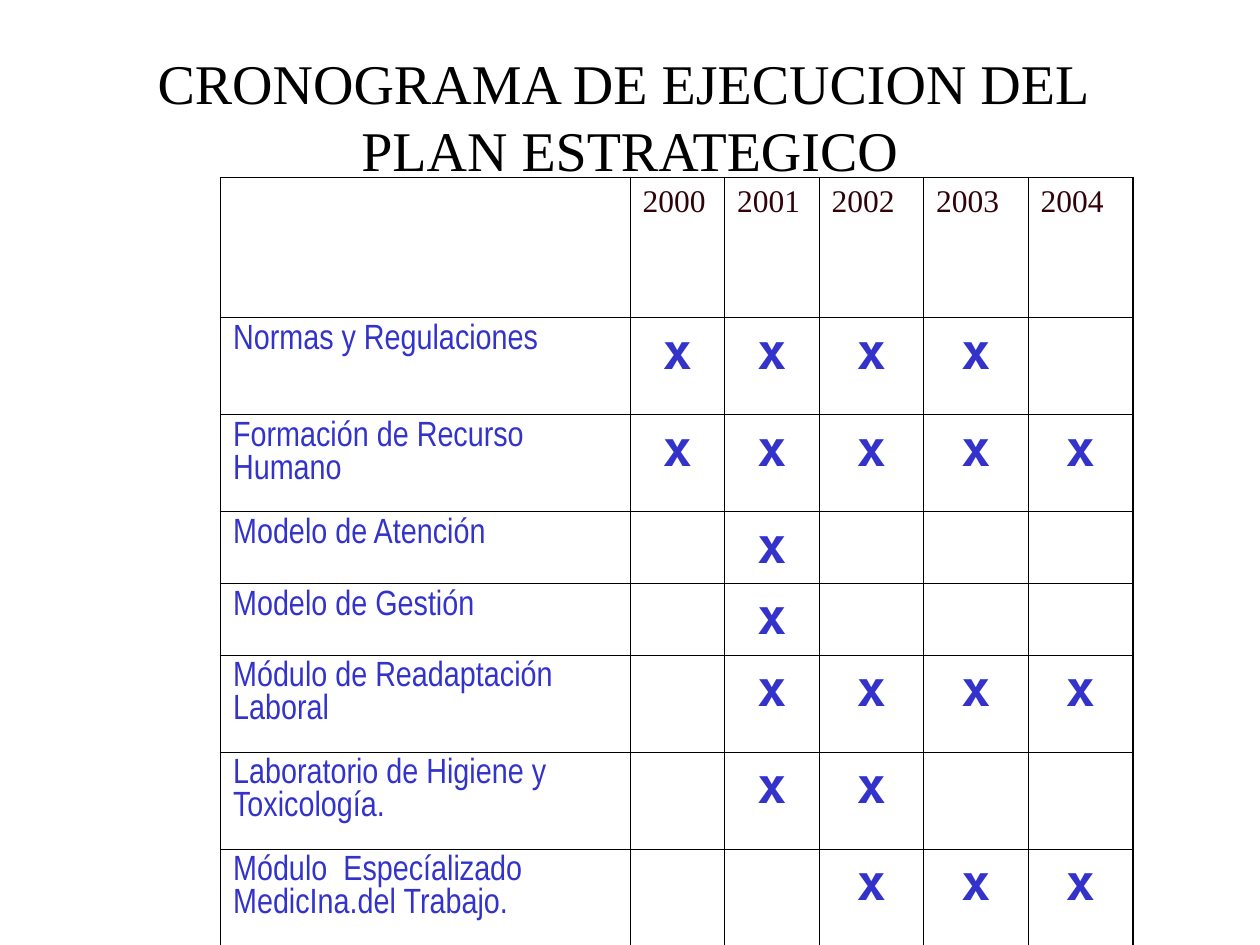
from pptx import Presentation
from pptx.dml.color import RGBColor
from pptx.enum.text import MSO_ANCHOR, PP_ALIGN
from pptx.oxml.ns import qn
from pptx.util import Inches, Pt
from lxml.etree import SubElement

COLORS = {"ink": "000000", "year": "30020A", "plan": "3333CC"}
THIN, THICK = 0.45, 1.08

YEARS = ["2000", "2001", "2002", "2003", "2004"]
ACTIVITIES = [
    ("Normas y Regulaciones", 0.77, "2000 2001 2002 2003"),
    ("Formación de Recurso Humano", 0.77, "2000 2001 2002 2003 2004"),
    ("Modelo de Atención", 0.57, "2001"),
    ("Modelo de Gestión", 0.57, "2001"),
    ("Módulo de Readaptación Laboral", 0.77, "2001 2002 2003 2004"),
    ("Laboratorio de Higiene y Toxicología.", 0.77, "2001 2002"),
    ("Módulo  Especíalizado MedicIna.del Trabajo.", 0.77, "2002 2003 2004"),
]
COLUMN_WIDTHS = [3.25, 0.75, 0.75, 0.83, 0.83, 0.83]
ROW_HEIGHTS = [1.11] + [height for _, height, _ in ACTIVITIES]


def write(paragraph, text, font_name, size, color, before=0, bold=False, align=PP_ALIGN.LEFT):
    paragraph.text = text
    paragraph.alignment = align
    paragraph.space_before = Pt(before)
    font = paragraph.font
    font.name, font.size, font.bold = font_name, Pt(size), bold
    font.color.rgb = RGBColor.from_string(COLORS[color])


def add_border(cell, side, width):
    line = SubElement(cell._tc.get_or_add_tcPr(), qn(f"a:ln{side}"), w=str(Pt(width)))
    fill = SubElement(line, qn("a:solidFill"))
    SubElement(fill, qn("a:srgbClr"), val=COLORS["ink"])


prs = Presentation()
prs.slide_width, prs.slide_height = Inches(10), Inches(7.5)
slide = prs.slides.add_slide(prs.slide_layouts[6])

# Schedule table
schedule = slide.shapes.add_table(
    len(ROW_HEIGHTS), len(COLUMN_WIDTHS),
    Inches(1.75), Inches(1.41), Inches(7.25), Inches(6.09)).table
schedule.first_row = schedule.horz_banding = False
for column, width in zip(schedule.columns, COLUMN_WIDTHS):
    column.width = Inches(width)
for row, height in zip(schedule.rows, ROW_HEIGHTS):
    row.height = Inches(height)

# Years across the top
for col, year in enumerate(YEARS, start=1):
    write(schedule.cell(0, col).text_frame.paragraphs[0], year,
          "Times New Roman", 18, "year", before=4.5)

# Activities and the years they run
for row, (activity, _, active_years) in enumerate(ACTIVITIES, start=1):
    write(schedule.cell(row, 0).text_frame.paragraphs[0], activity,
          "Arial Narrow", 20, "plan", before=5)
    for year in active_years.split():
        mark = schedule.cell(row, YEARS.index(year) + 1)
        write(mark.text_frame.paragraphs[0], "x", "DejaVu Sans Mono", 28, "plan",
              before=7, bold=True, align=PP_ALIGN.CENTER)

# Thin grid with a thicker outer frame
last_row, last_col = len(ROW_HEIGHTS) - 1, len(COLUMN_WIDTHS) - 1
for row in range(last_row + 1):
    for col in range(last_col + 1):
        cell = schedule.cell(row, col)
        outer_sides = {"L": col == 0, "R": col == last_col,
                       "T": row == 0, "B": row == last_row}
        for side, is_outer in outer_sides.items():
            add_border(cell, side, THICK if is_outer else THIN)
        cell.fill.background()

# Title
title = slide.shapes.add_textbox(Inches(0.75), Inches(0.25), Inches(8.5), Inches(1.25)).text_frame
title.word_wrap = True
title.vertical_anchor = MSO_ANCHOR.BOTTOM
write(title.paragraphs[0], "CRONOGRAMA DE EJECUCION DEL \vPLAN ESTRATEGICO",
      "Times New Roman", 32, "ink", align=PP_ALIGN.CENTER)

prs.save("out.pptx")
